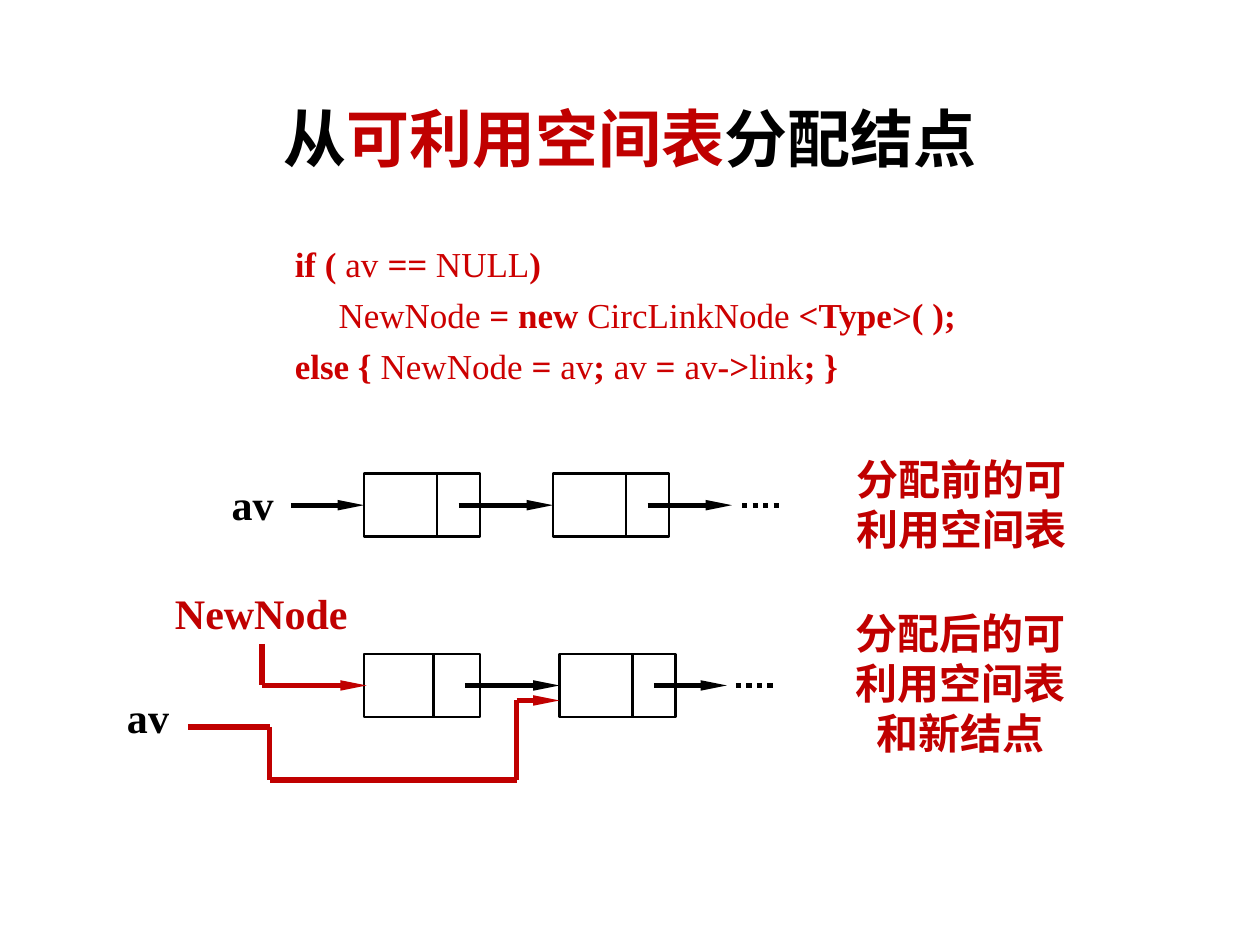
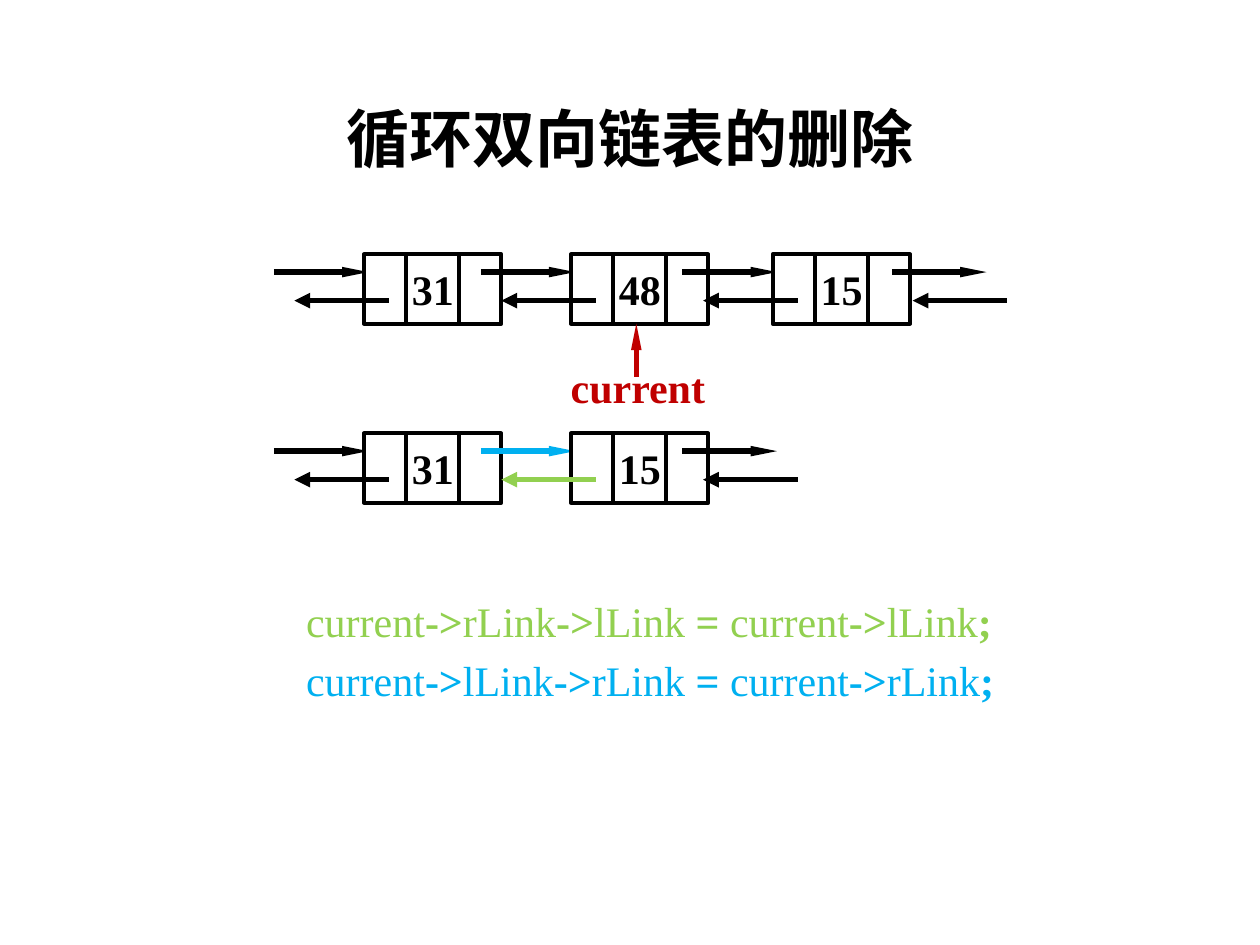
"""Build two slides on linked lists: node allocation and doubly linked deletion."""
import dataclasses
import itertools
import typing

import lxml.etree
import pptx
import pptx.dml.color
import pptx.enum.dml
import pptx.enum.shapes
import pptx.enum.text
import pptx.oxml.ns
import pptx.util

Pt = pptx.util.Pt
RGB = pptx.dml.color.RGBColor
ALIGN = pptx.enum.text.PP_ALIGN
ANCHOR = pptx.enum.text.MSO_ANCHOR
AUTO_SIZE = pptx.enum.text.MSO_AUTO_SIZE
Point = tuple[float, float]
Box = tuple[float, float, float, float]


@dataclasses.dataclass(frozen=True)
class Theme:
    """Colours, fonts, type sizes and line widths of the deck."""
    ink: RGB = RGB(0x00, 0x00, 0x00)
    paper: RGB = RGB(0xFF, 0xFF, 0xFF)
    accent: RGB = RGB(0xC0, 0x00, 0x00)
    code: RGB = RGB(0xCC, 0x00, 0x00)
    forward: RGB = RGB(0x00, 0xB0, 0xF0)
    backward: RGB = RGB(0x92, 0xD0, 0x50)
    latin: str = "Times New Roman"
    chinese: str = "Noto Sans CJK SC"
    title_size: float = 36
    label_size: float = 24
    code_size: float = 20
    thin: float = 1.5
    medium: float = 2.25
    thick: float = 3


THEME = Theme()
FORWARD_HEAD = ("tailEnd", {"type": "triangle", "w": "sm", "len": "lg"})
BACKWARD_HEAD = ("headEnd", {"type": "triangle"})


@dataclasses.dataclass(frozen=True)
class Span:
    """A stretch of text with one format."""
    text: str
    color: RGB = THEME.ink
    bold: bool = True
    italic: bool = False


@dataclasses.dataclass(frozen=True)
class TextStyle:
    """Font and paragraph format shared by a whole text frame."""
    font: str = THEME.latin
    size: float = THEME.label_size
    align: typing.Optional[ALIGN] = None
    line_spacing: typing.Optional[float] = None
    space_before: int = 20


@dataclasses.dataclass(frozen=True)
class ListNode:
    """A singly linked node with its divider offset."""
    left: float
    top: float
    divider: float
    filled: bool


LABEL = TextStyle()
CELL = TextStyle(align=ALIGN.CENTER)
CAPTION = TextStyle(font=THEME.chinese, align=ALIGN.CENTER)
TITLE = TextStyle(THEME.chinese, THEME.title_size, ALIGN.CENTER, 0.9, 0)
CODE = TextStyle(size=THEME.code_size, line_spacing=1.05)
CODE_INSETS = {"margin_left": Pt(8.64), "margin_right": Pt(8.64),
               "margin_top": Pt(4.32), "margin_bottom": Pt(4.32)}
NODE_WIDTH, NODE_HEIGHT = 66.25, 36
CELL_WIDTHS = (24.25, 30.25, 24)
CELL_HEIGHT = 39.6
LINK_LENGTH = 54
LINK_TO_NODE = 51.5
BACK_SHIFT = 11.75


def set_all(target: typing.Any, values: dict[str, typing.Any]) -> None:
    """Set every attribute named in values."""
    for name, value in values.items():
        setattr(target, name, value)


def alternate(color: RGB, bold: bool, *texts: str) -> list[Span]:
    """Make spans that switch between bold and regular."""
    return [Span(text, color, bold ^ bool(index % 2)) for index, text in enumerate(texts)]


def write(frame: typing.Any, lines: list[list[Span]], style: TextStyle,
          indents: tuple[float, ...] = ()) -> None:
    """Fill a text frame with one paragraph per line."""
    for index, (spans, indent) in enumerate(itertools.zip_longest(lines, indents, fillvalue=0)):
        para = frame.add_paragraph() if index else frame.paragraphs[0]
        set_all(para, {"alignment": style.align, "line_spacing": style.line_spacing,
                       "space_before": Pt(0)})
        properties = para._p.get_or_add_pPr()
        if indent:
            properties.set("marL", str(Pt(indent)))
        if style.space_before:
            spacing = properties.find(pptx.oxml.ns.qn("a:spcBef"))
            spacing.remove(spacing[0])
            lxml.etree.SubElement(spacing, pptx.oxml.ns.qn("a:spcPct"),
                                  val=str(style.space_before * 1000))
        for span in spans:
            run = para.add_run()
            run.text = span.text
            set_all(run.font, {"name": style.font, "size": Pt(style.size),
                               "bold": span.bold, "italic": span.italic})
            run.font.color.rgb = span.color
            lxml.etree.SubElement(run._r.get_or_add_rPr(), pptx.oxml.ns.qn("a:ea"),
                                  typeface=style.font)


def add_page(deck: typing.Any, title: list[Span]) -> typing.Any:
    """Add a page with the shared title placement."""
    page = deck.slides.add_slide(deck.slide_layouts[5])
    heading = page.shapes.title
    set_all(heading, {"left": Pt(49.7), "top": Pt(28.8), "width": Pt(620.6), "height": Pt(104.4)})
    heading.text_frame.vertical_anchor = ANCHOR.MIDDLE
    write(heading.text_frame, [title], TITLE)
    return page


def add_text(page: typing.Any, place: Box, lines: list[list[Span]], style: TextStyle,
             wrap: bool = True, insets: typing.Optional[dict[str, typing.Any]] = None,
             indents: tuple[float, ...] = ()) -> None:
    """Add a text box that grows with its text."""
    frame = page.shapes.add_textbox(*map(Pt, place)).text_frame
    set_all(frame, {"word_wrap": wrap, "auto_size": AUTO_SIZE.SHAPE_TO_FIT_TEXT, **(insets or {})})
    write(frame, lines, style, indents)


def add_rect(page: typing.Any, place: Box, width: float, text: str = "",
             filled: bool = True) -> None:
    """Add an outlined rectangle, with centred text if given."""
    rect = page.shapes.add_shape(pptx.enum.shapes.MSO_SHAPE.RECTANGLE, *map(Pt, place))
    rect.shadow.inherit = False
    if filled:
        rect.fill.solid()
        rect.fill.fore_color.rgb = THEME.paper
    else:
        rect.fill.background()
    rect.line.color.rgb = THEME.ink
    rect.line.width = Pt(width)
    if text:
        set_all(rect.text_frame, {"word_wrap": False, "vertical_anchor": ANCHOR.MIDDLE})
        write(rect.text_frame, [[Span(text)]], CELL)


def add_line(page: typing.Any, start: Point, end: Point, color: RGB = THEME.ink,
             width: float = THEME.thick, head: typing.Any = None, dotted: bool = False) -> None:
    """Add a straight line, optionally dotted or with an arrowhead."""
    line = page.shapes.add_connector(pptx.enum.shapes.MSO_CONNECTOR.STRAIGHT,
                                     *map(Pt, (*start, *end)))
    line.line.color.rgb = color
    line.line.width = Pt(width)
    if dotted:
        line.line.dash_style = pptx.enum.dml.MSO_LINE.ROUND_DOT
    if head:
        tag, values = head
        lxml.etree.SubElement(line.line._get_or_add_ln(), pptx.oxml.ns.qn("a:" + tag), values)
    lxml.etree.SubElement(line._element.spPr, pptx.oxml.ns.qn("a:effectLst"))


def add_route(page: typing.Any, points: list[Point]) -> None:
    """Add an accent route of straight pieces ending in an arrowhead."""
    pieces = list(itertools.pairwise(points))
    for start, end in pieces:
        add_line(page, start, end, THEME.accent,
                 head=FORWARD_HEAD if (start, end) == pieces[-1] else None)


def add_list_node(page: typing.Any, node: ListNode) -> None:
    """Add a node box and its divider."""
    add_rect(page, (node.left, node.top, NODE_WIDTH, NODE_HEIGHT), THEME.thin, filled=node.filled)
    middle = node.left + node.divider
    add_line(page, (middle, node.top), (middle, node.top + NODE_HEIGHT), width=THEME.thin)


def add_double_row(page: typing.Any, top: float, starts: list[float], values: list[str],
                   colored: int = -1) -> None:
    """Add a doubly linked row, with one coloured pair of links if asked."""
    for index, (start, value) in enumerate(itertools.zip_longest(starts, values)):
        forward, backward = ((THEME.forward, THEME.backward) if index == colored
                             else (THEME.ink, THEME.ink))
        add_line(page, (start, top + 10.1), (start + LINK_LENGTH, top + 10.1), forward,
                 head=FORWARD_HEAD)
        if value:
            left = start + LINK_TO_NODE
            for width, text in zip(CELL_WIDTHS, ("", value, "")):
                add_rect(page, (left, top, width, CELL_HEIGHT), THEME.medium, text)
                left += width
        back = start + BACK_SHIFT
        add_line(page, (back, top + 26.4), (back + LINK_LENGTH, top + 26.4), backward,
                 head=BACKWARD_HEAD)


def build_allocation(deck: typing.Any) -> None:
    """Build the slide on allocating a node from the free list."""
    page = add_page(deck, [Span("从"), Span("可利用空间表", THEME.accent), Span("分配结点")])
    red = THEME.code
    code = [
        [*alternate(red, True, "if ( ", "av "), Span("== ", red, italic=True),
         *alternate(red, False, "NULL", ")")],
        alternate(red, False, "NewNode ", "= new ", "CircLinkNode ", "<Type>( );"),
        alternate(red, True, "else { ", "NewNode ", "= ", "av", "; ", "av ", "= ", "av",
                  "->", "link", "; }"),
    ]
    add_text(page, (159.8, 133.2, 399.6, 93.6), code, CODE, insets=CODE_INSETS,
             indents=(0, 25, 0))
    before, after = 270.7, 373.7
    for node in (ListNode(208, before, 41.8, True), ListNode(316, before, 41.8, True),
                 ListNode(208, after, 39.6, False), ListNode(319.7, after, 41.8, False)):
        add_list_node(page, node)
    add_route(page, [(149.8, 367.9), (149.8, 391.7), (209.5, 391.7)])
    add_route(page, [(107.3, 415.4), (154.1, 415.4), (154.1, 445.7), (295.2, 445.7),
                     (295.2, 400.3), (319.7, 400.3)])
    for top, arrows, dots in (
            (before, ((166.3, 208), (262.1, 316), (370.1, 418.3)), (424.1, 447.8)),
            (after, ((265.7, 319.7), (373.7, 415.4)), (420.5, 444.2))):
        level = top + NODE_HEIGHT / 2
        for start, end in arrows:
            add_line(page, (start, level), (end, level), head=FORWARD_HEAD)
        add_line(page, (dots[0], level), (dots[1], level), dotted=True)
    for place, text, color in (((125.3, 270, 38.9, 36), "av", THEME.ink),
                               ((92.9, 331.9, 114.5, 36), "NewNode", THEME.accent),
                               ((65.5, 391.7, 38.9, 36), "av", THEME.ink)):
        add_text(page, place, [[Span(text, color)]], LABEL, wrap=False)
    for place, text in (((473.8, 255.6, 151.2, 65.5), "分配前的可利用空间表"),
                        ((472.3, 343.4, 153.4, 94.3), "分配后的可利用空间表和新结点")):
        add_text(page, place, [[Span(text, THEME.accent)]], CAPTION)


def build_deletion(deck: typing.Any) -> None:
    """Build the slide on deleting from a circular doubly linked list."""
    page = add_page(deck, [Span("循环双向链表的删除")])
    starts = [156.5, 274.75, 390, 509.75]
    add_double_row(page, 145.4, starts, ["31", "48", "15"])
    add_double_row(page, 247.7, starts[:3], ["31", "15"], colored=1)
    add_line(page, (363.6, 215.3), (363.6, 185), THEME.accent, head=FORWARD_HEAD)
    add_text(page, (319, 203, 92.2, 36), [[Span("current", THEME.accent)]], LABEL, wrap=False)
    code = [alternate(color, False, "current", "->", outer, "->", f"{inner} ", "= ",
                      "current", "->", inner, ";")
            for color, outer, inner in ((THEME.backward, "rLink", "lLink"),
                                        (THEME.forward, "lLink", "rLink"))]
    add_text(page, (166.3, 336.2, 420.5, 72.7), code, LABEL, insets=CODE_INSETS)


def main() -> None:
    """Build and save the deck."""
    deck = pptx.Presentation()
    set_all(deck, {"slide_width": Pt(720), "slide_height": Pt(540)})
    build_allocation(deck)
    build_deletion(deck)
    deck.save("out.pptx")


if __name__ == "__main__":
    main()
